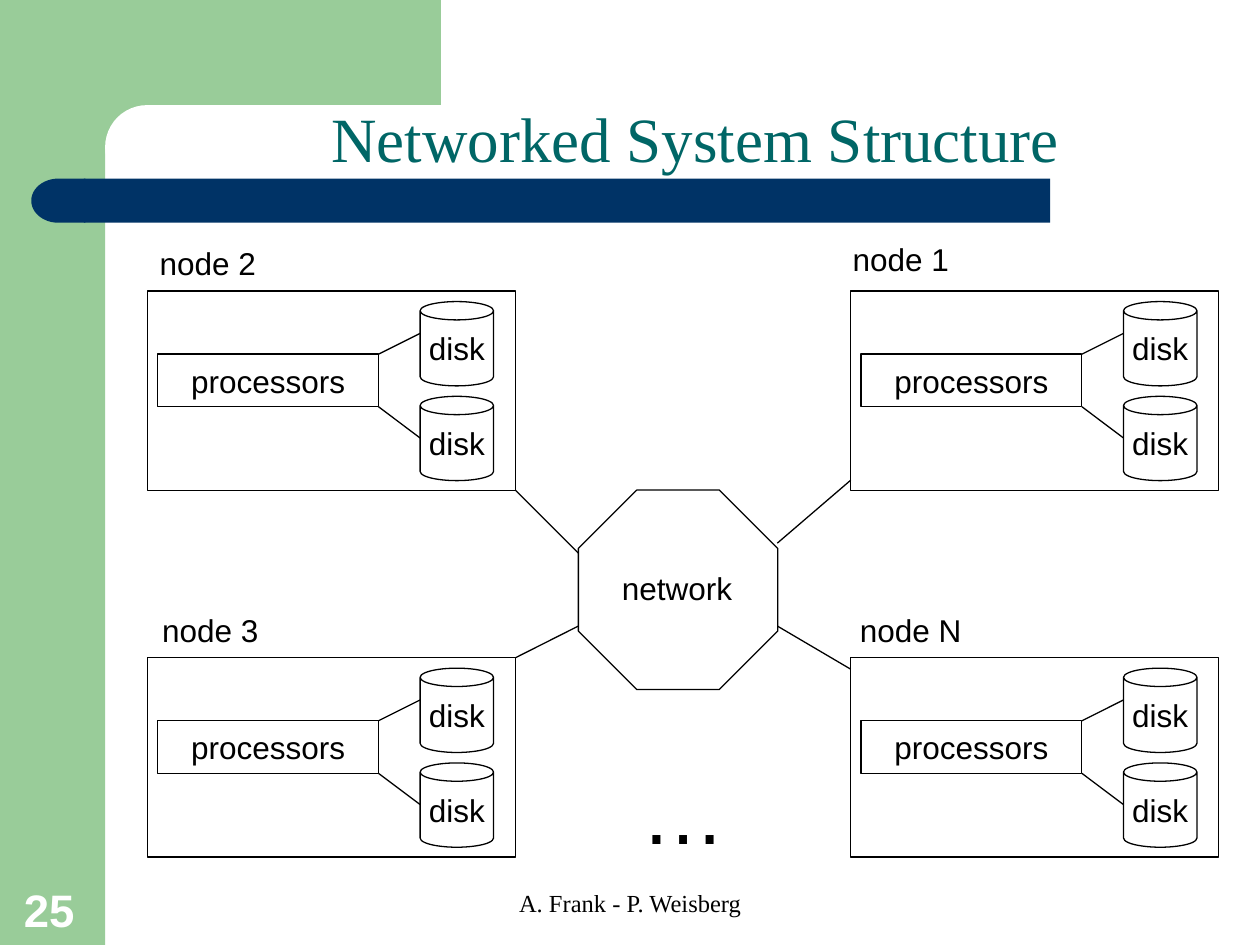
from dataclasses import dataclass
from itertools import product

from pptx import Presentation
from pptx import util as u
from pptx.dml.color import RGBColor
from pptx.enum import shapes, text
from pptx.oxml.ns import qn
from lxml import etree

GREEN = RGBColor(0x99, 0xCC, 0x99)
NAVY = RGBColor(0x00, 0x33, 0x66)
TEAL = RGBColor(0x00, 0x66, 0x66)
WHITE = RGBColor(0xFF, 0xFF, 0xFF)
BLACK = RGBColor(0x00, 0x00, 0x00)

LABEL = {"name": "Arial", "size": u.Pt(18), "color": BLACK}
ELLIPSIS = {**LABEL, "size": u.Pt(48)}
PAGE_NUMBER = {"name": "Arial", "size": u.Pt(26), "bold": True, "color": WHITE}
FOOTER = {"name": "Times New Roman", "size": u.Pt(14), "color": BLACK}
TITLE = {"name": "Times New Roman", "size": u.Pt(36), "color": TEAL}

Preset = shapes.MSO_SHAPE
Anchor = text.MSO_ANCHOR
Align = text.PP_ALIGN


@dataclass
class Area:
    """A rectangle in centimetres."""
    left: float
    top: float
    width: float
    height: float

    def lengths(self) -> list:
        return [u.Cm(v) for v in (self.left, self.top, self.width, self.height)]


@dataclass
class Node:
    """One computer of the network, with the area of its label."""
    name: str
    left: float
    top: float
    label: Area


LEFT, RIGHT, UPPER, LOWER = 2.97, 17.15, 5.87, 13.26
NODES = [
    Node("node 1", RIGHT, UPPER, Area(16.94, 4.72, 2.44, 1.02)),
    Node("node N", RIGHT, LOWER, Area(17.09, 12.19, 2.54, 1.02)),
    Node("node 3", LEFT, LOWER, Area(3.02, 12.19, 2.44, 1.02)),
    Node("node 2", LEFT, UPPER, Area(2.97, 4.8, 2.44, 1.02)),
]
NETWORK_LINKS = [
    (15.67, 10.95, 17.15, 9.68),
    (11.66, 11.15, 10.39, 9.88),
    (11.66, 12.62, 10.39, 13.26),
    (15.67, 12.62, 17.15, 13.49),
]


def write(frame, words: str, style: dict, align=Align.CENTER,
          anchor=Anchor.MIDDLE, wrap: bool = False) -> None:
    for key, value in {"word_wrap": wrap, "vertical_anchor": anchor,
                       "auto_size": text.MSO_AUTO_SIZE.NONE}.items():
        setattr(frame, key, value)
    para = frame.paragraphs[0]
    para.alignment = align
    span = para.add_run()
    span.text = words
    for key, value in style.items():
        if key == "color":
            span.font.color.rgb = value
        else:
            setattr(span.font, key, value)


def add_text(parent, area: Area, words: str, style: dict, **layout) -> None:
    box = parent.add_textbox(*area.lengths())
    write(box.text_frame, words, style, **layout)


def add_panel(parent, preset, area: Area, fill: RGBColor, adjust=None):
    """A filled shape without outline."""
    panel = parent.add_shape(preset, *area.lengths())
    panel.shadow.inherit = False
    panel.fill.solid()
    panel.fill.fore_color.rgb = fill
    panel.line.fill.background()
    if adjust is not None:
        panel.adjustments[0] = adjust
    return panel


def add_outlined(parent, preset, area: Area, words: str = "", adjust=None) -> None:
    """A white shape with a thin black outline."""
    box = add_panel(parent, preset, area, WHITE, adjust)
    box.line.color.rgb = BLACK
    box.line.width = u.Pt(0.75)
    if words:
        write(box.text_frame, words, LABEL)


def add_link(parent, x1: float, y1: float, x2: float, y2: float) -> None:
    link = parent.add_connector(shapes.MSO_CONNECTOR.STRAIGHT,
                                *[u.Cm(v) for v in (x1, y1, x2, y2)])
    link.line.color.rgb = BLACK
    link.line.width = u.Pt(0.75)
    etree.SubElement(link.element.spPr, qn("a:effectLst"))


def add_node(parent, node: Node) -> None:
    x, y = node.left, node.top
    group = parent.add_group_shape().shapes
    add_outlined(group, Preset.RECTANGLE, Area(x, y, 7.42, 4.02))
    for drop in (0.21, 2.12):
        add_outlined(group, Preset.CAN, Area(x + 5.5, y + drop, 1.48, 1.7), "disk", 0.25)
    add_outlined(group, Preset.RECTANGLE, Area(x + 0.21, y + 1.27, 4.45, 1.06), "processors")
    for start, end in ((1.27, 0.85), (2.33, 2.96)):
        add_link(group, x + 4.66, y + start, x + 5.5, y + end)


def main() -> None:
    deck = Presentation()
    deck.slide_width, deck.slide_height = u.Cm(25.4), u.Cm(19.05)
    page = deck.slides.add_slide(deck.slide_layouts[5])
    parts = page.shapes

    # Background bands
    add_panel(parts, Preset.RECTANGLE, Area(0, 0, 2.12, 19.05), GREEN)
    add_panel(parts, Preset.RECTANGLE, Area(1.9, 0, 6.99, 2.96), GREEN)
    add_panel(parts, Preset.ROUNDED_RECTANGLE, Area(2.12, 2.12, 8.68, 1.69), WHITE, 0.5)
    add_panel(parts, Preset.ROUNDED_RECTANGLE, Area(1.69, 3.6, 19.48, 0.89), NAVY, 0)
    add_panel(parts, Preset.FLOWCHART_DELAY, Area(0.63, 3.6, 1.09, 0.89), NAVY).rotation = 180

    # Page number and footer
    add_text(parts, Area(0.23, 17.63, 1.63, 1.37), "25", PAGE_NUMBER,
             align=Align.LEFT, anchor=Anchor.BOTTOM, wrap=True)
    add_text(parts, Area(8.68, 17.78, 8.05, 1.27), "A. Frank - P. Weisberg", FOOTER,
             anchor=Anchor.TOP, wrap=True)

    # Title, raised above the background bands
    title = parts.title
    title.element.getparent().append(title.element)
    title.left, title.top, title.width, title.height = Area(2.39, 2.18, 23.01, 1.47).lengths()
    title.text_frame.margin_left = u.Cm(0.5)
    write(title.text_frame, "Networked System Structure", TITLE,
          anchor=Anchor.BOTTOM, wrap=True)

    # Network and its nodes
    add_outlined(parts, Preset.OCTAGON, Area(11.66, 9.88, 4.02, 4.02), adjust=0.293)
    add_text(parts, Area(12.29, 11.35, 2.72, 1.02), "network", LABEL)
    for node in NODES:
        add_node(parts, node)
        add_text(parts, node.label, node.name, LABEL)
    for ends in NETWORK_LINKS:
        add_link(parts, *ends)
    add_text(parts, Area(12.67, 15.21, 2.21, 2.29), "…", ELLIPSIS, wrap=True)

    deck.save("out.pptx")


if __name__ == "__main__":
    main()
